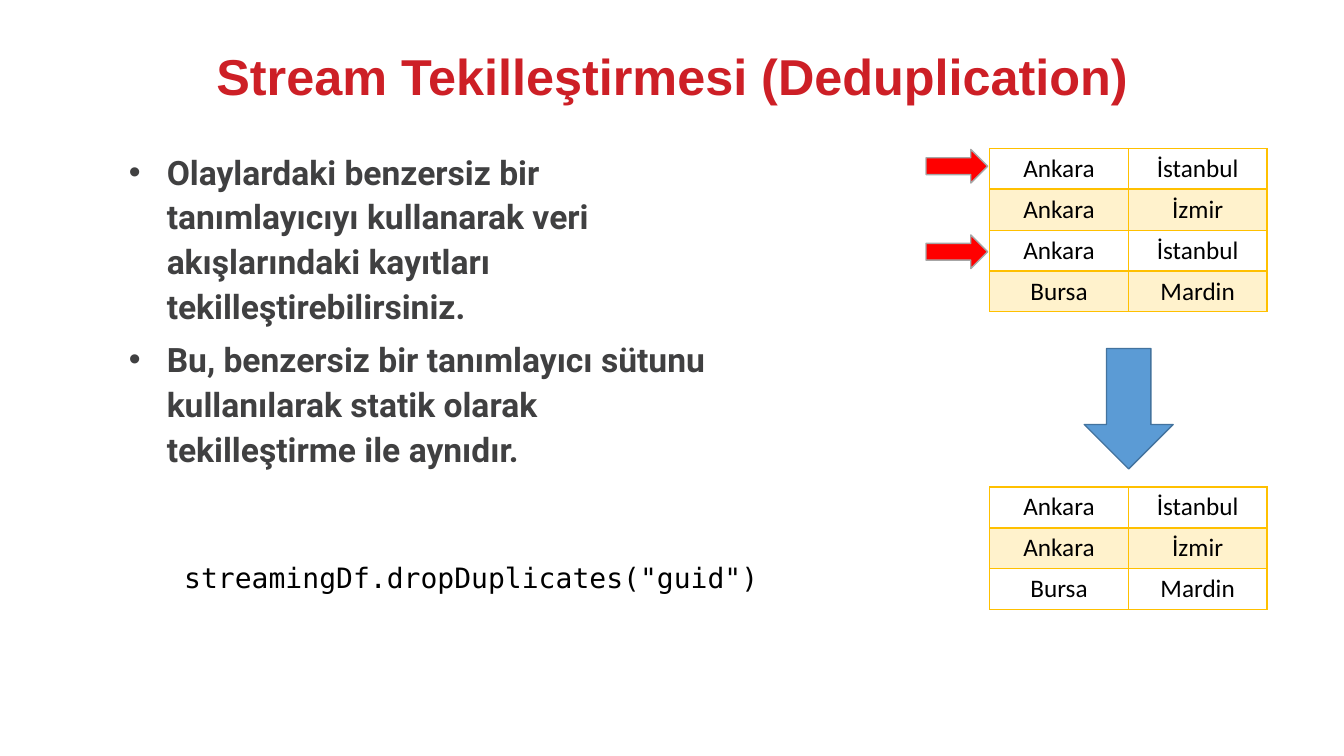
from lxml import etree
from pptx import Presentation
from pptx.dml.color import RGBColor
from pptx.enum import shapes, text
from pptx.oxml import ns
from pptx.util import Pt

GOLD = "FFC000"


def color(code):
    return RGBColor.from_string(code)


def style(para, font, size, code, bold=False):
    for run in para.runs:
        run.font.name = font
        run.font.size = Pt(size)
        run.font.bold = bold
        run.font.color.rgb = color(code)


prs = Presentation()
prs.slide_width, prs.slide_height = Pt(960), Pt(540)
slide = prs.slides.add_slide(prs.slide_layouts[6])

# Title
title = slide.shapes.add_textbox(Pt(137.5), Pt(29.5), Pt(685.5), Pt(49.7)).text_frame
title.word_wrap = True
title.vertical_anchor = text.MSO_ANCHOR.BOTTOM
title.text = "Stream Tekilleştirmesi (Deduplication)"
para = title.paragraphs[0]
para.alignment = text.PP_ALIGN.CENTER
para.line_spacing = 0.9
style(para, "Arial", 36, "CD1F26", True)

# Bullets
body = slide.shapes.add_textbox(Pt(85), Pt(101.5), Pt(428.4), Pt(236.9)).text_frame
body.word_wrap = True
body.text = "\n".join([
    "Olaylardaki benzersiz bir tanımlayıcıyı kullanarak veri akışlarındaki "
    "kayıtları tekilleştirebilirsiniz.",
    "Bu, benzersiz bir tanımlayıcı sütunu kullanılarak statik olarak "
    "tekilleştirme ile aynıdır.",
])
for para in body.paragraphs:
    para.line_spacing = Pt(32)
    para.space_after = Pt(6)
    style(para, "Roboto", 24, "404041", True)
    props = para._p.get_or_add_pPr()
    props.set("marL", str(Pt(27)))
    props.set("indent", str(-Pt(27)))
    etree.SubElement(props, ns.qn("a:buFont"), typeface="Arial")
    etree.SubElement(props, ns.qn("a:buChar"), char="•")

# Code line
code = slide.shapes.add_textbox(Pt(124.5), Pt(373), Pt(440), Pt(49)).text_frame
code.word_wrap = True
code.text = 'streamingDf.dropDuplicates("guid")'
code.paragraphs[0].line_spacing = 2.0
style(code.paragraphs[0], "DejaVu Sans Mono", 20, "000000")

# Tables before and after removing duplicates
before = [("Ankara", "İstanbul"), ("Ankara", "İzmir"),
          ("Ankara", "İstanbul"), ("Bursa", "Mardin")]
after = list(dict.fromkeys(before))
for top, rows in ((106, before), (347.8, after)):
    table = slide.shapes.add_table(len(rows), 2, Pt(707), Pt(top),
                                   Pt(198), Pt(29.2 * len(rows))).table
    table.first_row = table.horz_banding = False
    for r, row in enumerate(rows):
        table.rows[r].height = Pt(29.2)
        for c, city in enumerate(row):
            cell = table.cell(r, c)
            cell.text = city
            para = cell.text_frame.paragraphs[0]
            para.alignment = text.PP_ALIGN.CENTER
            style(para, "Calibri", 18, "000000")
            # Gold borders, heavier under the first row
            props = cell._tc.get_or_add_tcPr()
            for side in "LRTB":
                heavy = (r, side) in ((0, "B"), (1, "T"))
                line = etree.SubElement(props, ns.qn("a:ln" + side),
                                        w=str(Pt(2 if heavy else 1)))
                fill = etree.SubElement(line, ns.qn("a:solidFill"))
                etree.SubElement(fill, ns.qn("a:srgbClr"), val=GOLD)
            # Pale gold on every second row
            if r % 2:
                cell.fill.solid()
                cell.fill.fore_color.rgb = color(GOLD)
                tint = props.find(ns.qn("a:solidFill"))[0]
                etree.SubElement(tint, ns.qn("a:alpha"), val="20000")
            else:
                cell.fill.background()

# Arrows: one between the tables, two at the duplicate rows
kinds = shapes.MSO_SHAPE
for kind, x, y, w, h, fill, edge in (
    (kinds.DOWN_ARROW, 774.5, 249, 63.5, 86, "5B9BD5", "43739E"),
    (kinds.RIGHT_ARROW, 661.5, 106.7, 44, 24, "FF0000", "A6A6A6"),
    (kinds.RIGHT_ARROW, 661.5, 167.8, 44, 24, "FF0000", "A6A6A6"),
):
    arrow = slide.shapes.add_shape(kind, Pt(x), Pt(y), Pt(w), Pt(h))
    arrow.shadow.inherit = False
    arrow.fill.solid()
    arrow.fill.fore_color.rgb = color(fill)
    arrow.line.color.rgb = color(edge)
    arrow.line.width = Pt(1)

prs.save("out.pptx")
